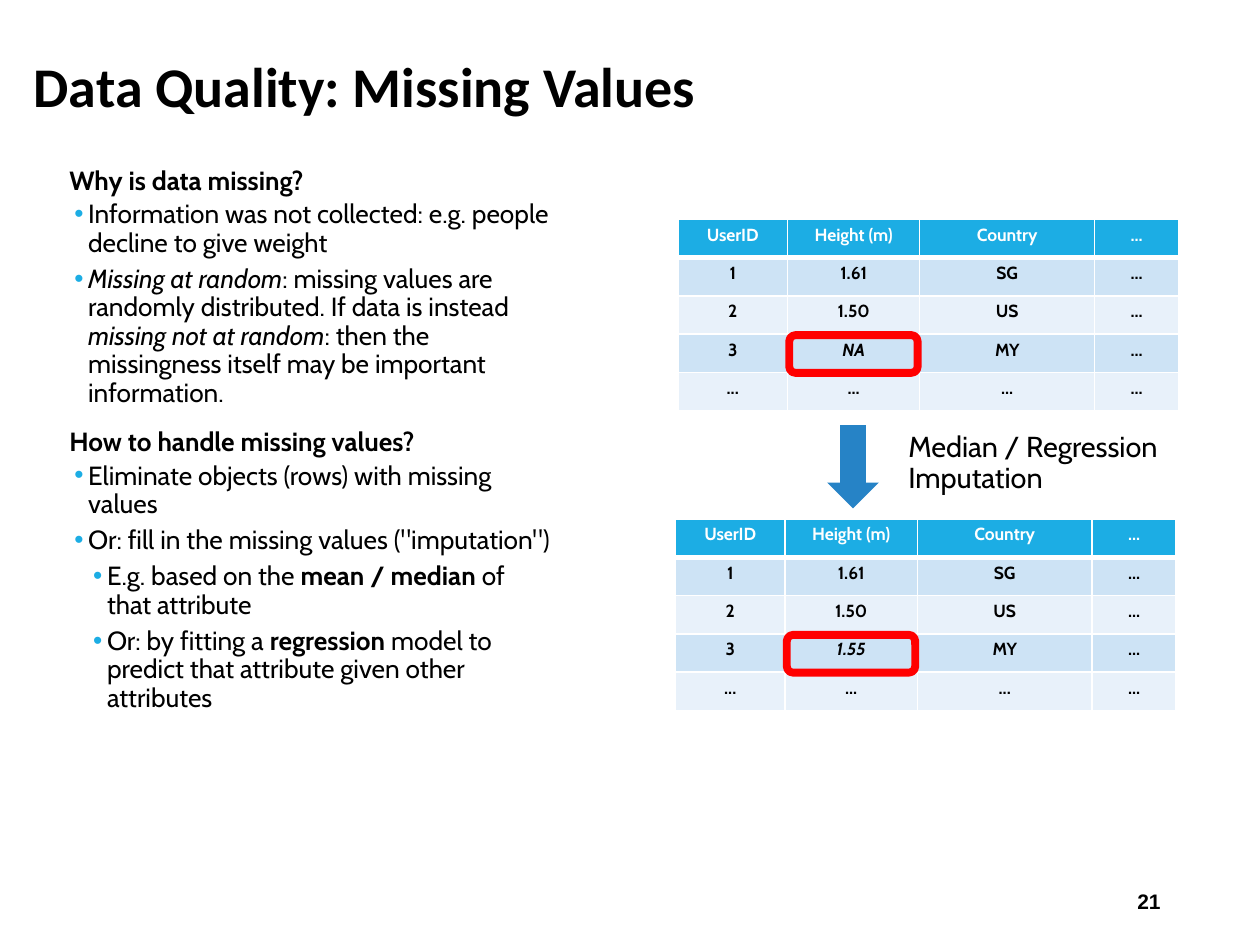
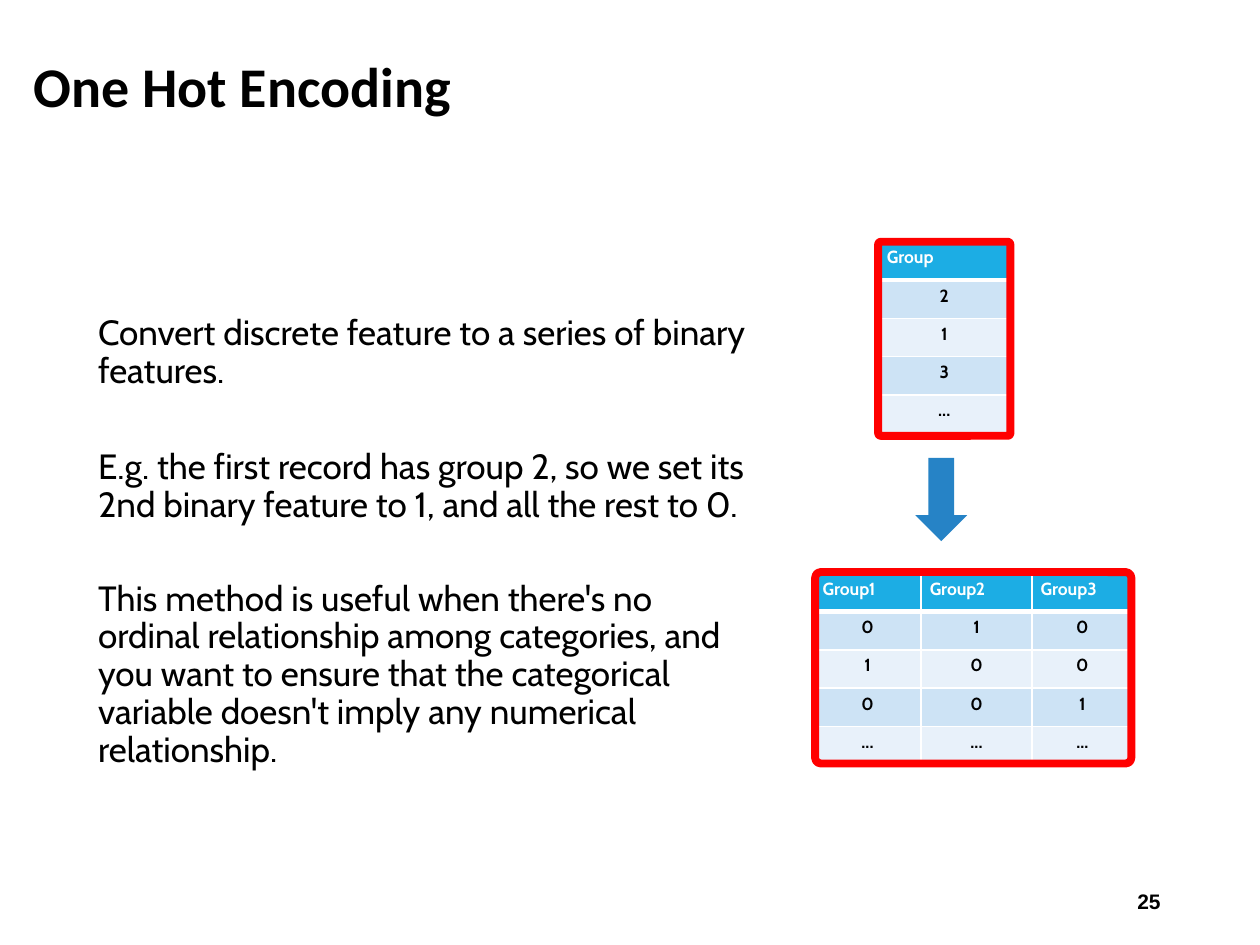
"""Build two slides on data preparation: missing values and one hot encoding."""
from dataclasses import dataclass

from lxml.etree import SubElement
from pptx import Presentation
from pptx.dml.color import RGBColor
from pptx.enum.shapes import MSO_SHAPE as Shape
from pptx.enum.text import MSO_ANCHOR as Anchor, PP_ALIGN as Align
from pptx.oxml.ns import qn
from pptx.util import Pt

BLACK = RGBColor(0x00, 0x00, 0x00)
WHITE = RGBColor(0xFF, 0xFF, 0xFF)
CYAN = RGBColor(0x1C, 0xAD, 0xE4)
BLUE = RGBColor(0x26, 0x83, 0xC6)
BAND_DARK = RGBColor(0xCD, 0xE3, 0xF5)
BAND_LIGHT = RGBColor(0xE8, 0xF1, 0xFA)
RED = RGBColor(0xFF, 0x00, 0x00)

BODY_FONT = "Cabin"
TITLE_FONT = "Calibri"
NUMBER_FONT = "Arial"
LEFT_MARGINS = (5, 15.8, 26.6)
HANGING = 7.9
ROW_HEIGHT = 21.9


@dataclass(frozen=True)
class Box:
    left: float
    top: float
    width: float
    height: float

    def emu(self) -> tuple:
        return Pt(self.left), Pt(self.top), Pt(self.width), Pt(self.height)


@dataclass(frozen=True)
class Run:
    text: str
    bold: bool = False
    italic: bool = False


@dataclass(frozen=True)
class Para:
    runs: tuple[Run, ...]
    level: int = 0
    before: float = 0


@dataclass(frozen=True)
class Grid:
    left: float
    top: float
    widths: tuple[float, ...]
    rows: tuple[tuple[str, ...], ...]
    header_align: Align = Align.CENTER
    italic_cell: tuple[int, int] | None = None


@dataclass(frozen=True)
class Frame:
    box: Box
    corner: float = 0.16667


def add_run(p, run: Run, size: float, font: str, color: RGBColor = BLACK) -> None:
    r = p.add_run()
    r.text = run.text
    f = r.font
    f.size, f.name, f.bold, f.italic = Pt(size), font, run.bold, run.italic
    f.color.rgb = color


def add_text_frame(s, box: Box, inset_x: float, inset_y: float, anchor: Anchor):
    tf = s.shapes.add_textbox(*box.emu()).text_frame
    tf.word_wrap = True
    tf.margin_left = tf.margin_right = Pt(inset_x)
    tf.margin_top = tf.margin_bottom = Pt(inset_y)
    tf.vertical_anchor = anchor
    return tf


def add_bullet(p) -> None:
    pPr = p._p.get_or_add_pPr()
    color = SubElement(pPr, qn("a:buClr"))
    SubElement(color, qn("a:srgbClr")).set("val", str(CYAN))
    SubElement(pPr, qn("a:buFont")).set("typeface", "Arial")
    SubElement(pPr, qn("a:buChar")).set("char", "•")


def add_body(s, box: Box, size: float, paras: tuple[Para, ...]) -> None:
    tf = add_text_frame(s, box, 2.9, 2.9, Anchor.TOP)
    for i, para in enumerate(paras):
        p = tf.add_paragraph() if i else tf.paragraphs[0]
        pPr = p._p.get_or_add_pPr()
        pPr.set("marL", str(Pt(LEFT_MARGINS[para.level])))
        if para.level:
            pPr.set("indent", str(-Pt(HANGING)))
            add_bullet(p)
        p.level = para.level
        p.line_spacing = 0.9
        p.space_before = Pt(1.5 if para.level else para.before)
        p.space_after = Pt(3 if para.level else 1.5)
        for run in para.runs:
            add_run(p, run, size, BODY_FONT)


def add_border(cell, side: str, width: float) -> None:
    ln = SubElement(cell._tc.get_or_add_tcPr(), qn(f"a:ln{side}"), w=str(Pt(width)))
    SubElement(SubElement(ln, qn("a:solidFill")), qn("a:srgbClr")).set("val", str(WHITE))


def style_cell(cell, row: int) -> None:
    widths = {"L": 1, "R": 1, "T": 3 if row == 1 else 1, "B": 3 if row == 0 else 1}
    for side, width in widths.items():
        add_border(cell, side, width)
    cell.fill.solid()
    cell.fill.fore_color.rgb = (BAND_DARK if row % 2 else BAND_LIGHT) if row else CYAN
    cell.margin_left = cell.margin_right = Pt(5)
    cell.margin_top = cell.margin_bottom = Pt(2.9)


def add_grid(s, grid: Grid) -> None:
    box = Box(grid.left, grid.top, sum(grid.widths), ROW_HEIGHT * len(grid.rows))
    table = s.shapes.add_table(len(grid.rows), len(grid.widths), *box.emu()).table
    table.horz_banding = False
    for column, width in zip(table.columns, grid.widths):
        column.width = Pt(width)
    for i, texts in enumerate(grid.rows):
        table.rows[i].height = Pt(ROW_HEIGHT)
        for j, text in enumerate(texts):
            cell = table.cell(i, j)
            style_cell(cell, i)
            p = cell.text_frame.paragraphs[0]
            p.alignment = Align.CENTER if i else grid.header_align
            run = Run(text, bold=True, italic=(i, j) == grid.italic_cell)
            add_run(p, run, 10, BODY_FONT, BLACK if i else WHITE)


def add_frame(s, frame: Frame) -> None:
    sp = s.shapes.add_shape(Shape.ROUNDED_RECTANGLE, *frame.box.emu())
    sp.shadow.inherit = False
    sp.adjustments[0] = frame.corner
    sp.fill.background()
    sp.line.color.rgb = RED
    sp.line.width = Pt(4.5)


def add_down_arrow(s, left: float, top: float) -> None:
    sp = s.shapes.add_shape(Shape.RIGHT_ARROW, *Box(left, top, 47.5, 29.5).emu())
    sp.rotation = 90
    sp.shadow.inherit = False
    sp.fill.solid()
    sp.fill.fore_color.rgb = BLUE
    sp.line.fill.background()


def add_slide(prs, title: str, number: int):
    s = prs.slides.add_slide(prs.slide_layouts[6])
    tf = add_text_frame(s, Box(12.2, 8.6, 684, 80.6), 7.2, 3.6, Anchor.MIDDLE)
    add_run(tf.paragraphs[0], Run(title, bold=True), 32, TITLE_FONT)
    tf = add_text_frame(s, Box(508.3, 500.4, 162, 28.8), 7.2, 3.6, Anchor.MIDDLE)
    tf.paragraphs[0].alignment = Align.RIGHT
    add_run(tf.paragraphs[0], Run(str(number), bold=True), 12, NUMBER_FONT)
    return s


MISSING_NOTES = (
    Para((Run("Why is data missing?", bold=True),)),
    Para((Run("Information was not collected: e.g. people decline to give weight"),), 1),
    Para((
        Run("Missing at random", italic=True),
        Run(": missing values are randomly distributed. If data is instead "),
        Run("missing not at random", italic=True),
        Run(": then the missingness itself may be important information."),
    ), 1),
    Para((Run("How to handle missing values?", bold=True),), before=9),
    Para((Run("Eliminate objects (rows) with missing values"),), 1),
    Para((Run('Or: fill in the missing values ("imputation")'),), 1),
    Para((
        Run("E.g. based on the "),
        Run("mean / median", bold=True),
        Run(" of that attribute"),
    ), 2),
    Para((
        Run("Or: by fitting a "),
        Run("regression", bold=True),
        Run(" model to predict that attribute given other attributes"),
    ), 2),
)

ENCODING_NOTES = (
    Para((Run("Convert discrete feature to a series of binary features."),)),
    Para((Run("E.g. the first record has group 2, so we set its 2nd binary feature "
              "to 1, and all the rest to 0."),), before=32),
    Para((Run("This method is useful when there's no ordinal relationship among "
              "categories, and you want to ensure that the categorical variable "
              "doesn't imply any numerical relationship."),), before=30.5),
)


def user_grid(left: float, top: float, missing_height: str) -> Grid:
    rows = (
        ("UserID", "Height (m)", "Country", "..."),
        ("1", "1.61", "SG", "..."),
        ("2", "1.50", "US", "..."),
        ("3", missing_height, "MY", "..."),
        ("...",) * 4,
    )
    return Grid(left, top, (62.6, 75.6, 100, 47.9), rows, italic_cell=(3, 1))


def build_missing_values(prs) -> None:
    s = add_slide(prs, "Data Quality: Missing Values", 21)
    add_body(s, Box(31.7, 92.9, 287.3, 342.7), 15, MISSING_NOTES)
    for left, top, height in ((387.4, 125.3, "NA"), (386, 296.6, "1.55")):
        add_grid(s, user_grid(left, top, height))
        add_frame(s, Frame(Box(left + 63.6, top + 66.2, 73.4, 21.6)))
    add_down_arrow(s, 463.7, 252)
    caption = (Para((Run("Median / Regression Imputation"),)),)
    add_body(s, Box(511.2, 244.1, 159.1, 46.8), 16.5, caption)


def build_one_hot(prs) -> None:
    s = add_slide(prs, "One Hot Encoding", 25)
    add_body(s, Box(48.2, 177.1, 383.8, 259.9), 20, ENCODING_NOTES)
    groups = (("Group",), ("2",), ("1",), ("3",), ("...",))
    add_grid(s, Grid(501.8, 138.2, (75.6,), groups, Align.LEFT))
    add_frame(s, Frame(Box(501.8, 138.2, 75.6, 110.9), 0.02))
    binary = (
        ("Group1", "Group2", "Group3"),
        ("0", "1", "0"),
        ("1", "0", "0"),
        ("0", "0", "1"),
        ("...",) * 3,
    )
    add_grid(s, Grid(465.1, 327.6, (61.2, 63.4, 57.6), binary, Align.LEFT))
    add_frame(s, Frame(Box(465.8, 326.9, 180.7, 109.4), 0.03))
    add_down_arrow(s, 514.1, 270.7)


def main() -> None:
    prs = Presentation()
    prs.slide_width, prs.slide_height = Pt(720), Pt(540)
    build_missing_values(prs)
    build_one_hot(prs)
    prs.save("out.pptx")


if __name__ == "__main__":
    main()
